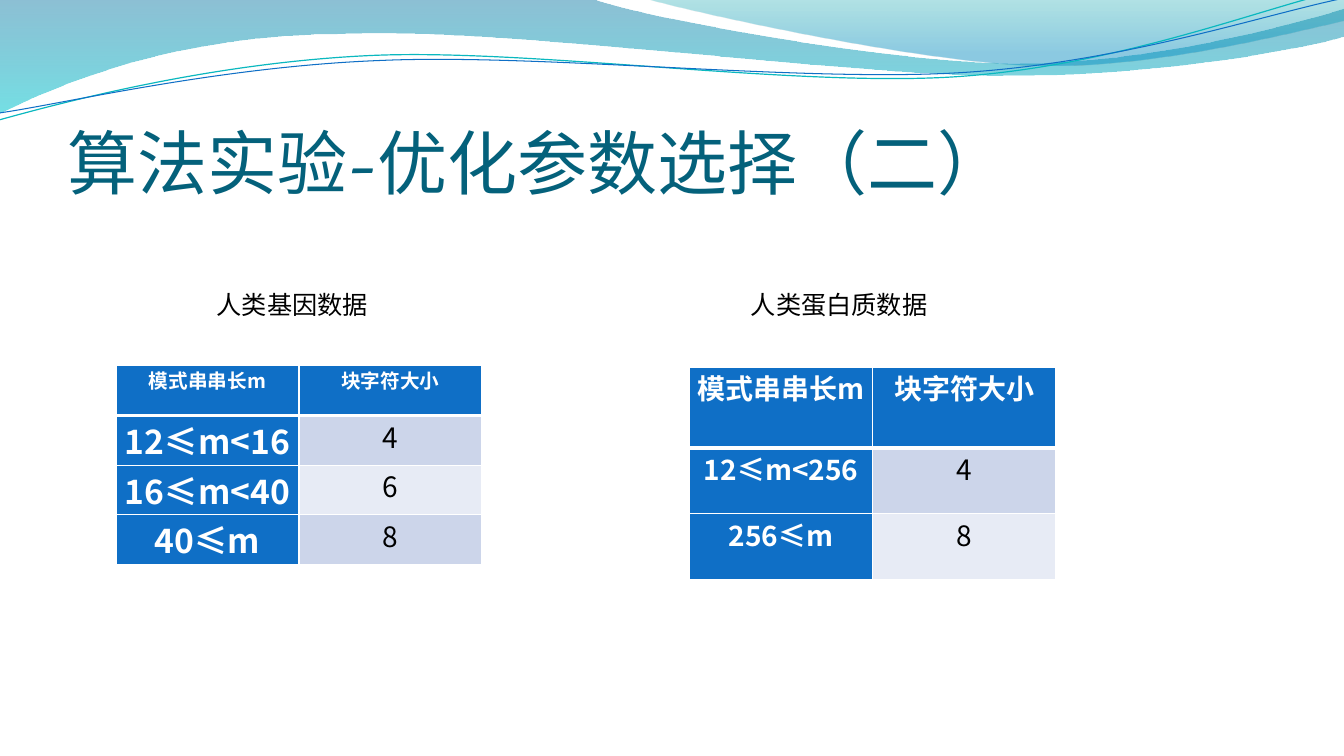
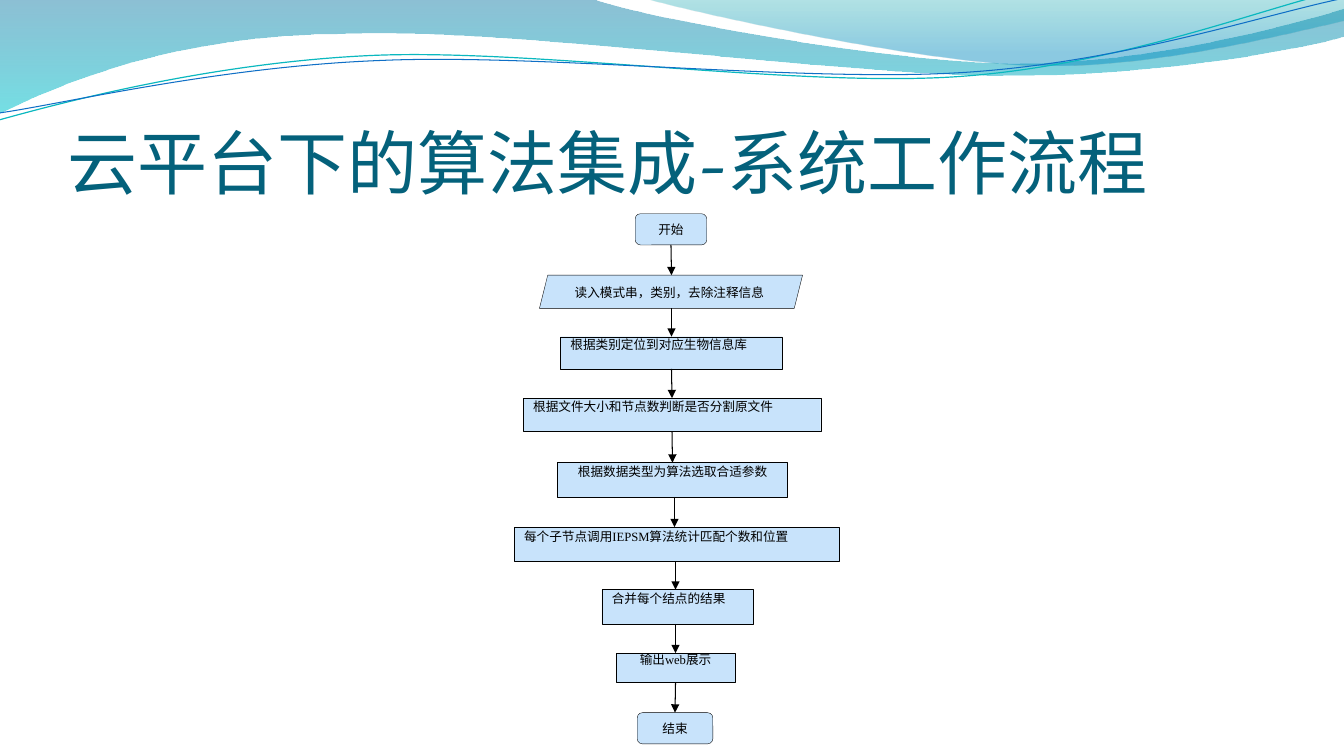
from lxml import etree
from pptx import Presentation
from pptx import util as u
from pptx.dml.color import RGBColor
from pptx.enum import shapes, text
from pptx.oxml.ns import qn

WHITE = RGBColor(0xFF, 0xFF, 0xFF)
BLACK = RGBColor(0x00, 0x00, 0x00)
TITLE = RGBColor(0x04, 0x61, 0x7B)
BLUE = RGBColor(0x0F, 0x6F, 0xC6)
TEAL = RGBColor(0x0A, 0xB8, 0xBF)
ROW_DARK = RGBColor(0xCC, 0xD5, 0xEA)
ROW_LIGHT = RGBColor(0xE7, 0xEB, 0xF5)
NODE = RGBColor(0xC8, 0xE3, 0xFB)
SANS = "Noto Sans CJK SC"
SERIF = "Times New Roman"
DISPLAY = "Vollkorn"

SHAPE = shapes.MSO_SHAPE
LEFT, CENTER = text.PP_ALIGN.LEFT, text.PP_ALIGN.CENTER
JUSTIFY = text.PP_ALIGN.JUSTIFY

WAVES = [
    ([(0, -0.01), (5.87, -0.01),
      (6.34, 0.17, 8.85, 0.63, 10.11, 0.63),
      (11.38, 0.63, 12.78, 0.26, 13.33, 0.09), (13.35, 0.36),
      (13.11, 0.44, 11.6, 0.76, 9.94, 0.75),
      (8.29, 0.75, 5.09, 0.28, 3.43, 0.34),
      (1.72, 0.35, 0.61, 0.83, -0.01, 1.13), (0, -0.01)],
     [(0, RGBColor(0x00, 0x74, 0xA1), 45), (1, RGBColor(0x00, 0xC6, 0xCF), 55)]),
    ([(6.39, -0.01),
      (6.79, 0.11, 9.09, 0.62, 10.25, 0.65),
      (11.41, 0.69, 12.82, 0.32, 13.33, 0.21), (13.33, 0), (6.39, -0.01)],
     [(0, RGBColor(0x00, 0xA1, 0xA9), 30), (0.8, RGBColor(0x00, 0x8B, 0xBF), 45)]),
]
CURVES = [
    ([(-0.01, 1.19),
      (0.64, 1.01, 2.11, 0.62, 3.69, 0.55),
      (5.27, 0.48, 7.9, 0.87, 9.5, 0.76),
      (11.1, 0.65, 12.52, 0.08, 13.31, -0.1)], TEAL, 0.85),
    ([(0, 1.12),
      (0.63, 1.03, 2.18, 0.66, 3.78, 0.6),
      (5.37, 0.53, 7.96, 0.82, 9.55, 0.72),
      (11.15, 0.62, 12.55, 0.14, 13.34, -0.02)], BLUE, 0.75),
]


def add_outline(s, segments, close):
    points = [(u.Inches(seg[-2]), u.Inches(seg[-1])) for seg in segments]
    builder = s.shapes.build_freeform(*points[0])
    builder.add_line_segments(points[1:], close=close)
    sp = builder.convert_to_shape()
    sp.shadow.inherit = False
    for line, seg in zip(list(sp.element.iter(qn("a:lnTo"))), segments[1:]):
        if len(seg) == 6:
            bend_segment(sp, line, seg)
    return sp


def bend_segment(sp, line, seg):
    line.tag = qn("a:cubicBezTo")
    for i, (x, y) in enumerate((seg[:2], seg[2:4])):
        pt = etree.Element(qn("a:pt"), x=str(u.Inches(x) - sp.left), y=str(u.Inches(y) - sp.top))
        line.insert(i, pt)


def add_wave(s, segments, stops):
    sp = add_outline(s, segments, True)
    sp.line.fill.background()
    sp.fill.gradient()
    sp.fill.gradient_angle = 270
    for stop, (position, color, _) in zip(sp.fill.gradient_stops, stops):
        stop.position = position
        stop.color.rgb = color
    for clr, (_, _, opacity) in zip(sp.element.iter(qn("a:srgbClr")), stops):
        etree.SubElement(clr, qn("a:alpha"), val=str(opacity * 1000))
    return sp


def add_curve(s, segments, color, width):
    sp = add_outline(s, segments, False)
    sp.fill.background()
    sp.line.color.rgb = color
    sp.line.width = u.Pt(width)
    return sp


def decorate_layout(layout, s):
    bands = [add_wave(s, *wave) for wave in WAVES]
    bands += [add_curve(s, *curve) for curve in CURVES]
    for i, sp in enumerate(bands):
        sp.element.xpath(".//p:cNvPr")[0].set("id", str(100 + i))
        layout.shapes.element.append(sp.element)


def set_insets(tf, left, top, right, bottom):
    tf.margin_left, tf.margin_top = u.Inches(left), u.Inches(top)
    tf.margin_right, tf.margin_bottom = u.Inches(right), u.Inches(bottom)


def add_run(p, content, size, font, color, bold=False):
    r = p.add_run()
    r.text = content
    r.font.size = u.Pt(size)
    r.font.bold = bold
    r.font.color.rgb = color
    r.font.name = font
    etree.SubElement(r._r.get_or_add_rPr(), qn("a:ea"), typeface=SANS)


def add_title(s, content):
    sp = s.shapes.title
    sp.left, sp.top = u.Inches(0.67), u.Inches(0.77)
    sp.width, sp.height = u.Inches(12), u.Inches(1.25)
    tf = sp.text_frame
    tf.auto_size = text.MSO_AUTO_SIZE.NONE
    tf.vertical_anchor = text.MSO_ANCHOR.BOTTOM
    set_insets(tf, 0, 0.05, 0, 0)
    p = tf.paragraphs[0]
    p.alignment = LEFT
    add_run(p, content, 50, DISPLAY, TITLE)


def add_label(s, left, top, width, content):
    sp = s.shapes.add_textbox(u.Inches(left), u.Inches(top), u.Inches(width), u.Inches(0.4))
    sp.text_frame.word_wrap = False
    add_run(sp.text_frame.paragraphs[0], content, 18, SANS, BLACK)


def set_borders(cell, top, bottom):
    tc_pr = cell._tc.get_or_add_tcPr()
    for side, width in (("L", 1), ("R", 1), ("T", top), ("B", bottom)):
        ln = etree.SubElement(tc_pr, qn("a:ln" + side), w=str(u.Pt(width)))
        fill = etree.SubElement(ln, qn("a:solidFill"))
        etree.SubElement(fill, qn("a:srgbClr"), val=str(WHITE))


def add_grid(s, left, top, height, rows, head_size, key_size):
    width, height = u.Inches(3.63), u.Inches(height)
    frame = s.shapes.add_table(len(rows), 2, u.Inches(left), u.Inches(top), width, height)
    table = frame.table
    for col in table.columns:
        col.width = width // 2
    for i, values in enumerate(rows):
        table.rows[i].height = height // len(rows)
        for j, value in enumerate(values):
            cell = table.cell(i, j)
            strong = i == 0 or j == 0
            set_insets(cell, 0.07, 0, 0.07, 0)
            set_borders(cell, 3 if i == 1 else 1, 3 if i == 0 else 1)
            cell.fill.solid()
            cell.fill.fore_color.rgb = BLUE if strong else (ROW_LIGHT, ROW_DARK)[i % 2]
            p = cell.text_frame.paragraphs[0]
            p.alignment = CENTER
            size = head_size if i == 0 else key_size if j == 0 else 20
            add_run(p, value, size, SANS, WHITE if strong else BLACK, strong)


def add_node(s, kind, left, top, width, height, align, content):
    sp = s.shapes.add_shape(kind, u.Inches(left), u.Inches(top), u.Inches(width), u.Inches(height))
    sp.shadow.inherit = False
    sp.fill.solid()
    sp.fill.fore_color.rgb = NODE
    sp.line.color.rgb = BLACK
    sp.line.width = u.Pt(0.25)
    tf = sp.text_frame
    tf.word_wrap = True
    tf.vertical_anchor = text.MSO_ANCHOR.MIDDLE
    if kind == SHAPE.RECTANGLE:
        set_insets(tf, 0.1, 0, 0.1, 0.16)
    p = tf.paragraphs[0]
    p.alignment = align
    if kind == SHAPE.PARALLELOGRAM:
        p.line_spacing = u.Pt(12)
    add_run(p, content, 9, SERIF, BLACK)
    return sp


def meets_middle(sp, x):
    offset = abs(sp.left + sp.width // 2 - x)
    return sp.auto_shape_type != SHAPE.PARALLELOGRAM and offset < u.Inches(0.01)


def add_arrow(s, upper, lower, x):
    x = u.Inches(x)
    c = s.shapes.add_connector(shapes.MSO_CONNECTOR.STRAIGHT,
                               x, upper.top + upper.height, x, lower.top)
    if meets_middle(upper, x):
        c.begin_connect(upper, 2)
    if meets_middle(lower, x):
        c.end_connect(lower, 0)
    c.line.color.rgb = BLACK
    c.line.width = u.Pt(0.75)
    etree.SubElement(c.line._get_or_add_ln(), qn("a:tailEnd"), type="triangle")
    etree.SubElement(c.element.spPr, qn("a:effectLst"))


def build_parameters(s):
    add_title(s, "算法实验-优化参数选择（二）")
    header = ("模式串串长m", "块字符大小")
    add_grid(s, 1.15, 3.63, 1.97,
             [header, ("12≤m<16", "4"), ("16≤m<40", "6"), ("40≤m", "8")], 14, 24)
    add_grid(s, 6.84, 3.64, 1.95, [header, ("12≤m<256", "4"), ("256≤m", "8")], 20, 20)
    add_label(s, 2.05, 2.82, 1.72, "人类基因数据")
    add_label(s, 7.35, 2.82, 1.97, "人类蛋白质数据")


def build_workflow(s):
    add_title(s, "云平台下的算法集成-系统工作流程")
    steps = [
        (SHAPE.ROUNDED_RECTANGLE, 6.3, 2.12, 0.71, 0.31, CENTER, "开始"),
        (SHAPE.PARALLELOGRAM, 5.35, 2.73, 2.61, 0.33, JUSTIFY, "读入模式串，类别，去除注释信息"),
        (SHAPE.RECTANGLE, 5.56, 3.34, 2.2, 0.32, JUSTIFY, "根据类别定位到对应生物信息库"),
        (SHAPE.RECTANGLE, 5.19, 3.95, 2.95, 0.33, JUSTIFY, "根据文件大小和节点数判断是否分割原文件"),
        (SHAPE.RECTANGLE, 5.53, 4.59, 2.28, 0.34, CENTER, "根据数据类型为算法选取合适参数"),
        (SHAPE.RECTANGLE, 5.1, 5.23, 3.22, 0.34, LEFT, "每个子节点调用IEPSM算法统计匹配个数和位置"),
        (SHAPE.RECTANGLE, 5.97, 5.85, 1.5, 0.34, LEFT, "合并每个结点的结果"),
        (SHAPE.RECTANGLE, 6.11, 6.48, 1.18, 0.29, CENTER, "输出web展示"),
        (SHAPE.ROUNDED_RECTANGLE, 6.32, 7.07, 0.75, 0.31, CENTER, "结束"),
    ]
    nodes = [add_node(s, *step) for step in steps]
    arrow_xs = [6.66, 6.66, 6.66, 6.67, 6.69, 6.7, 6.7, 6.7]
    for upper, lower, x in zip(nodes, nodes[1:], arrow_xs):
        add_arrow(s, upper, lower, x)


def main():
    prs = Presentation()
    prs.slide_width, prs.slide_height = u.Inches(13.33), u.Inches(7.5)
    layout = prs.slide_layouts[5]
    parameters, workflow = (prs.slides.add_slide(layout) for _ in range(2))
    decorate_layout(layout, parameters)
    build_parameters(parameters)
    build_workflow(workflow)
    prs.save("out.pptx")


if __name__ == "__main__":
    main()
